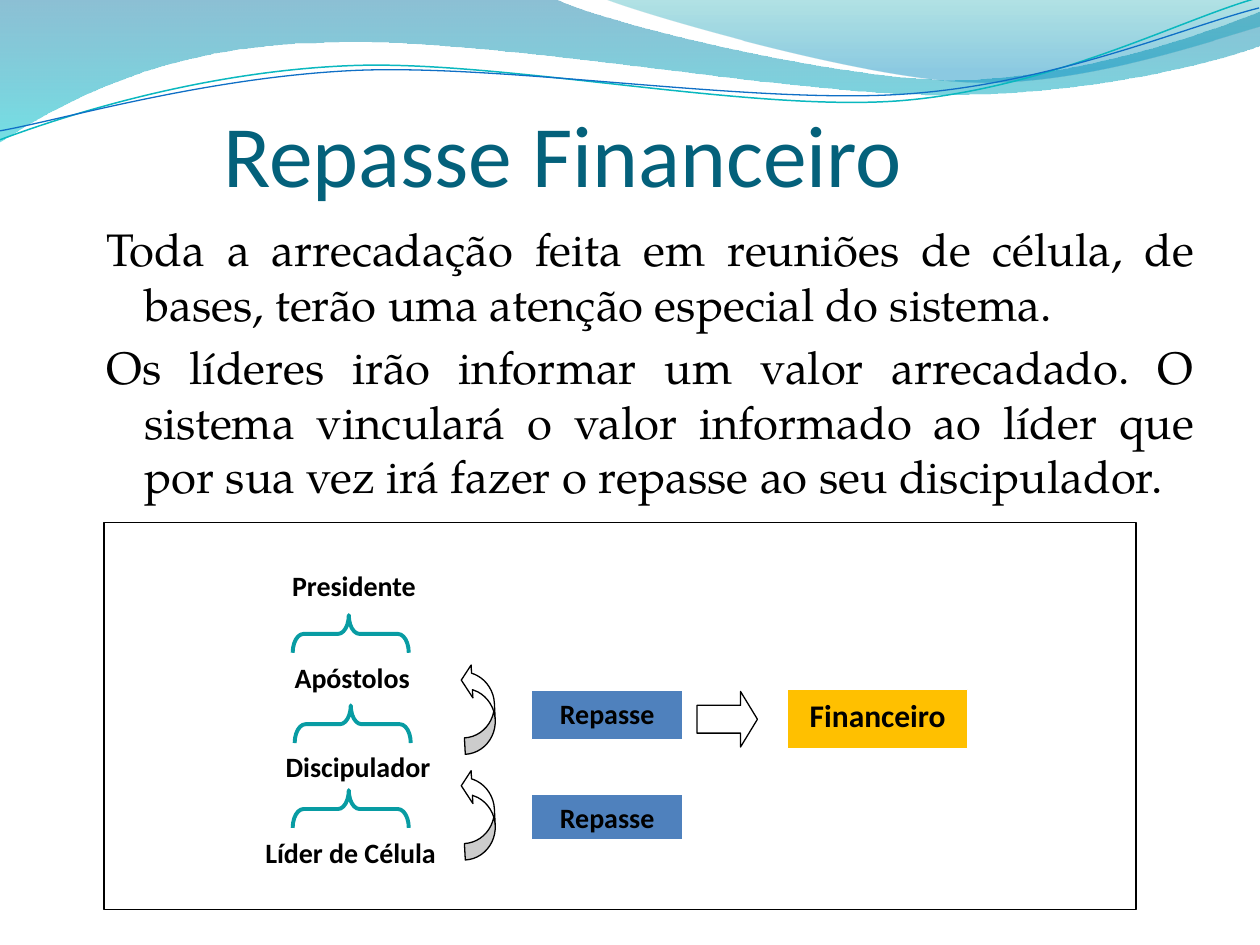
from lxml.etree import SubElement
from pptx import Presentation
from pptx.dml.color import RGBColor
from pptx.enum.shapes import MSO_SHAPE
from pptx.enum.text import MSO_ANCHOR, PP_ALIGN
from pptx.oxml.ns import qn
from pptx.util import Cm, Pt

WHITE, BLACK, TEAL = "FFFFFF", "000000", "089CA3"


def color(hex_value):
    return RGBColor.from_string(hex_value)


def style(shape, fill=None, line=None, width=0.75):
    shape.shadow.inherit = False
    if fill:
        shape.fill.solid()
        shape.fill.fore_color.rgb = color(fill)
    else:
        shape.fill.background()
    if line:
        shape.line.color.rgb = color(line)
        shape.line.width = Pt(width)
    else:
        shape.line.fill.background()


def write(shape, paragraphs, size, font="Calibri", ink=BLACK, bold=False,
          align=PP_ALIGN.LEFT, anchor=MSO_ANCHOR.TOP, before=0, after=0, hanging=0):
    frame = shape.text_frame
    frame.word_wrap = True
    frame.vertical_anchor = anchor
    frame.text = "\n".join(paragraphs)
    for paragraph in frame.paragraphs:
        paragraph.alignment = align
        paragraph.space_before, paragraph.space_after = Pt(before), Pt(after)
        if hanging:
            properties = paragraph._p.get_or_add_pPr()
            properties.set("marL", str(Cm(hanging)))
            properties.set("indent", str(-Cm(hanging)))
        run_font = paragraph.runs[0].font
        run_font.name, run_font.size, run_font.bold = font, Pt(size), bold
        run_font.color.rgb = color(ink)
    return frame


def add_text(slide, box, paragraphs, size, **text_format):
    textbox = slide.shapes.add_textbox(*map(Cm, box))
    return write(textbox, paragraphs, size, **text_format)


def add_preset(slide, kind, box, rotation=0, adjustments=(), **look):
    shape = slide.shapes.add_shape(kind, *map(Cm, box))
    shape.rotation = rotation
    for index, value in enumerate(adjustments):
        shape.adjustments[index] = value
    style(shape, **look)
    return shape


def add_curve(slide, box, segments, closed=False, rotation=0, **look):
    """Draw segments within box: two numbers are a point, six a cubic curve."""
    left, top, width, height = map(Cm, box)
    builder = slide.shapes.build_freeform(left, top)
    builder.add_line_segments([(left + width, top + height)], close=False)
    curve = builder.convert_to_shape()
    outline = curve.element.spPr.find(".//" + qn("a:path"))
    for step in list(outline):
        outline.remove(step)
    for index, numbers in enumerate(segments):
        tag = "a:moveTo" if index == 0 else "a:lnTo" if len(numbers) == 2 else "a:cubicBezTo"
        step = SubElement(outline, qn(tag))
        for x, y in zip(numbers[::2], numbers[1::2]):
            point = SubElement(step, qn("a:pt"))
            point.set("x", str(Cm(x)))
            point.set("y", str(Cm(y)))
    if closed:
        SubElement(outline, qn("a:close"))
    curve.rotation = rotation
    style(curve, **look)
    return curve


def fade(shape, stops):
    """Fill from top to bottom; each stop is position, colour and opacity in percent."""
    shape.fill.gradient()
    shape.fill.gradient_angle = 270
    for stop, (position, hex_value, _) in zip(shape.fill.gradient_stops, stops):
        stop.position = position
        stop.color.rgb = color(hex_value)
    tints = shape.element.spPr.find(qn("a:gradFill")).iter(qn("a:srgbClr"))
    for tint, (_, _, opacity) in zip(tints, stops):
        SubElement(tint, qn("a:alpha")).set("val", str(opacity * 1000))


def add_waves(slide, left, top):
    bands = [
        ((-0.03, -0.03, 25.45, 2.9),
         [(0.03, 0), (11.21, 0), (12.12, 0.46, 16.9, 1.63, 19.28, 1.63),
          (21.7, 1.63, 24.36, 0.69, 25.43, 0.26), (25.45, 0.94),
          (25, 1.15, 22.13, 1.96, 18.98, 1.94), (15.83, 1.94, 9.73, 0.74, 6.56, 0.89),
          (3.31, 0.92, 1.2, 2.14, 0, 2.9)],
         [(0, "0074A1", 45), (1, "00C6CF", 55)]),
        ((12.17, -0.03, 13.23, 1.78),
         [(0, 0), (0.76, 0.31, 5.15, 1.6, 7.36, 1.68),
          (9.57, 1.78, 12.24, 0.84, 13.23, 0.56), (13.23, 0.03)],
         [(0, "00A1A9", 30), (0.8, "008BBF", 45)]),
    ]
    for (x, y, width, height), outline, stops in bands:
        band = add_curve(slide, (left + x, top + y, width, height), outline, closed=True)
        fade(band, stops)
    strands = [
        ((-0.05, 0.56, 25.45, 1.8),
         [(0, 1.66), (1.24, 1.26, 4.07, 0.48, 7.1, 0.5),
          (10.1, 0.51, 15.07, 1.81, 18.13, 1.73),
          (21.18, 1.64, 23.91, 0.35, 25.45, 0)], "0AB8BF", 0.85),
        ((-0.05, 0.76, 25.48, 1.47),
         [(0, 1.28), (1.21, 1.13, 4.22, 0.39, 7.25, 0.4),
          (10.3, 0.42, 15.18, 1.46, 18.24, 1.4),
          (21.27, 1.34, 23.99, 0.3, 25.48, 0)], "0F6FC6", 0.75),
    ]
    for (x, y, width, height), strand, ink, weight in strands:
        add_curve(slide, (left + x, top + y, width, height), strand,
                  rotation=357.3, line=ink, width=weight)


def add_title(slide, box):
    frame = add_text(slide, box, ["Repasse Financeiro"], 50, ink="04617B",
                     anchor=MSO_ANCHOR.BOTTOM)
    frame.margin_left = frame.margin_right = frame.margin_bottom = 0


def add_body(slide, box):
    add_text(slide, box, [
        "Toda a arrecadação feita em reuniões de célula, de bases, terão uma atenção "
        "especial do sistema.",
        "Os líderes irão informar um valor arrecadado. O sistema vinculará o valor "
        "informado ao líder que por sua vez irá fazer o repasse ao seu discipulador.",
    ], 26, font="TeX Gyre Pagella", align=PP_ALIGN.JUSTIFY, before=5.2, hanging=0.76)


def add_hierarchy(slide, box):
    left, top, width, height = box
    add_preset(slide, MSO_SHAPE.RECTANGLE, box, fill=WHITE, line=BLACK)

    def inside(x, y, w, h):
        return left + x, top + y, w, h

    def add_label(text, place, fill=WHITE, size=16, align=PP_ALIGN.CENTER):
        label = add_preset(slide, MSO_SHAPE.RECTANGLE, inside(*place), fill=fill, line=WHITE)
        write(label, [text], size, bold=True, align=align, after=10)

    roles = [("Presidente", 3.54, 0.8, 3.4), ("Apóstolos", 3.59, 2.67, 3),
             ("Discipulador", 3.41, 4.46, 3.56), ("Líder de Célula", 3, 6.19, 4.62)]
    for role, x, y, role_width in roles:
        add_label(role, (x, y, role_width, 1.19), align=PP_ALIGN.LEFT)
    for x, y in [(4.59, 1.08), (4.63, 2.9), (4.59, 4.61)]:
        add_preset(slide, MSO_SHAPE.LEFT_BRACE, inside(x, y, 0.76, 2.34), rotation=90,
                   adjustments=(0.287, 0.517), line=TEAL, width=2.25)
    for y in (4.96, 2.83):
        add_preset(slide, MSO_SHAPE.CURVED_RIGHT_ARROW, inside(7.23, y, 0.64, 1.83),
                   rotation=176.9, adjustments=(0.518, 1.036, 0.333),
                   fill=WHITE, line=BLACK)
    for y, label_height in [(3.39, 0.99), (5.48, 0.91)]:
        add_label("Repasse", (8.61, y, 3.06, label_height), fill="4F81BD")
    add_label("Financeiro", (13.78, 3.37, 3.63, 1.19), fill="FFC000", size=18)
    add_preset(slide, MSO_SHAPE.RIGHT_ARROW, inside(11.95, 3.41, 1.22, 1.12),
               adjustments=(0.5, 0.304), fill=WHITE, line=BLACK)


def main():
    presentation = Presentation()
    presentation.slide_width, presentation.slide_height = Cm(25.4), Cm(19.05)
    slide = presentation.slides.add_slide(presentation.slide_layouts[6])
    add_waves(slide, 0, 0)
    add_title(slide, (4.5, 1.73, 20.24, 2.41))
    add_body(slide, (1.9, 4.33, 22.45, 7.01))
    add_hierarchy(slide, (2.1, 10.53, 20.8, 7.8))
    presentation.save("out.pptx")


if __name__ == "__main__":
    main()
